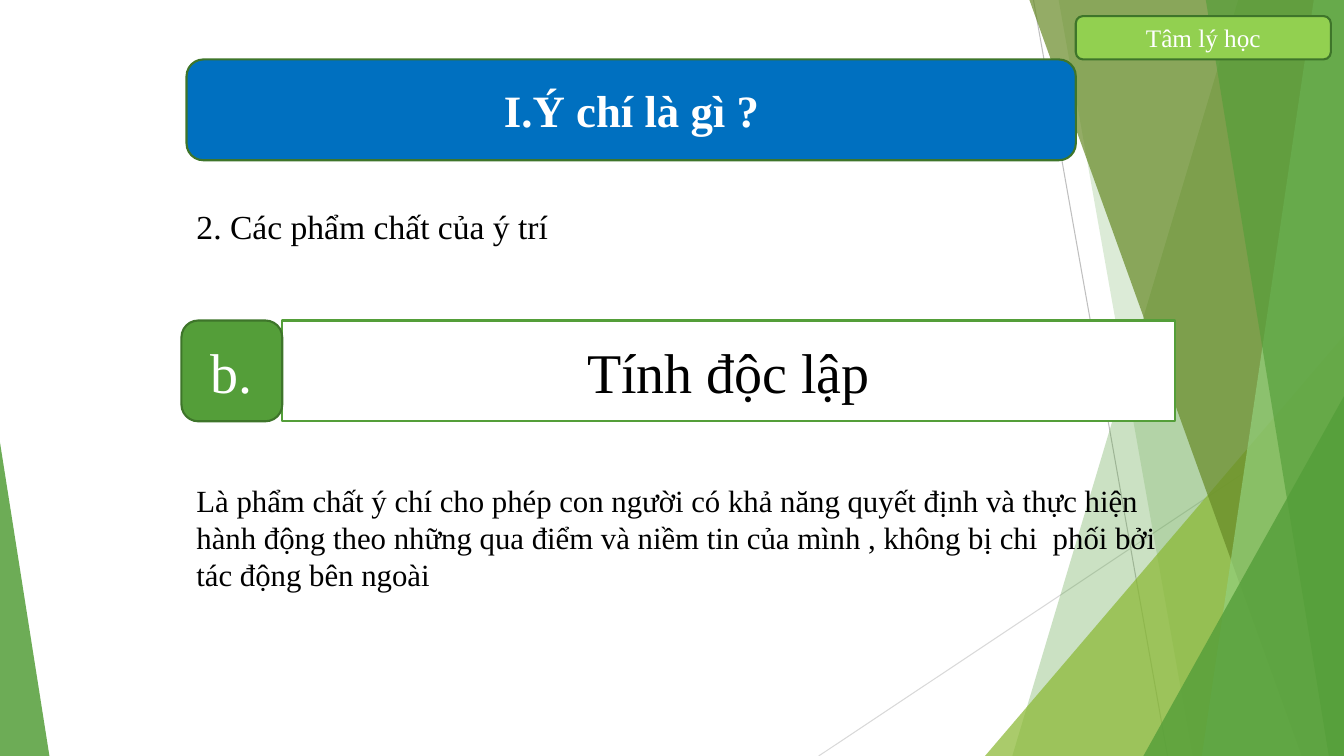
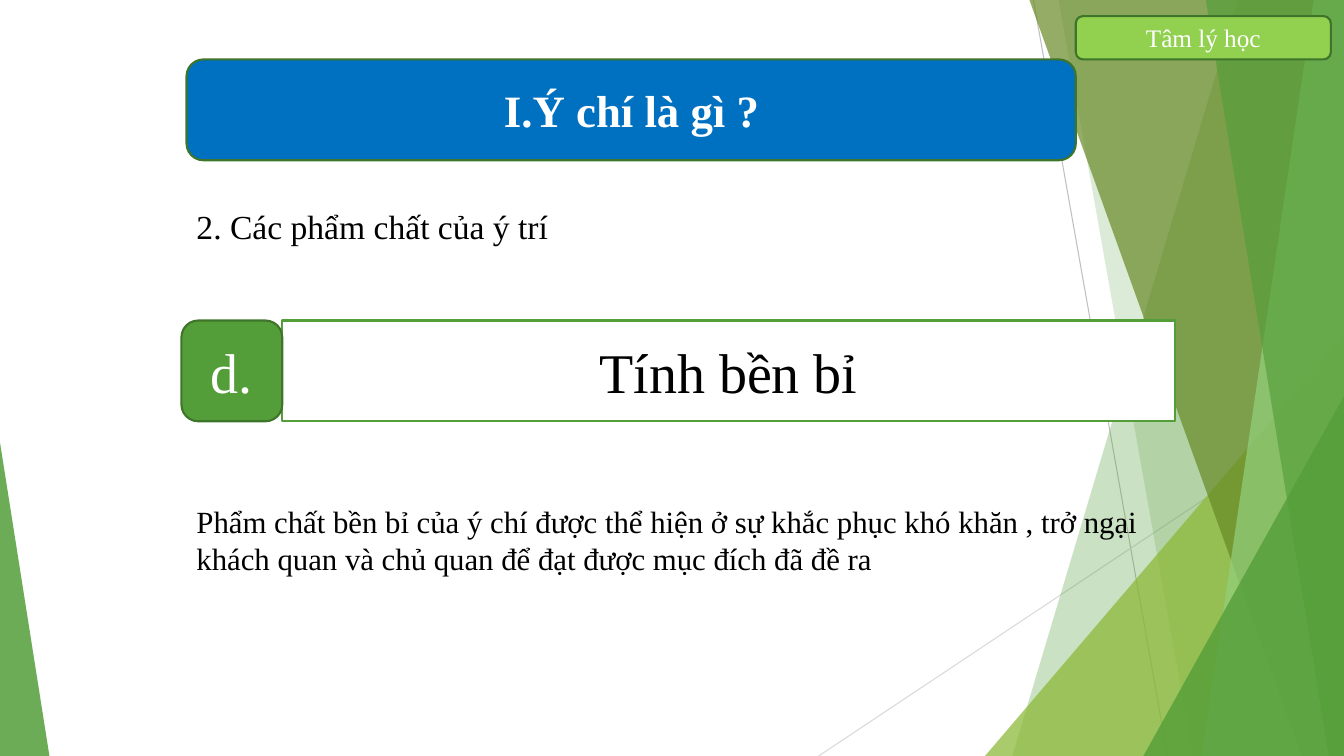
from lxml.etree import SubElement
from pptx import Presentation
from pptx.dml.color import RGBColor
from pptx.enum.shapes import MSO_CONNECTOR, MSO_SHAPE
from pptx.enum.text import MSO_ANCHOR, PP_ALIGN
from pptx.oxml.ns import qn
from pptx.util import Inches, Pt

WHITE = RGBColor(0xFF, 0xFF, 0xFF)
BLACK = RGBColor(0x00, 0x00, 0x00)
BLUE = RGBColor(0x00, 0x70, 0xC0)
GREEN = RGBColor(0x54, 0x9E, 0x39)
DARK_GREEN = RGBColor(0x3E, 0x75, 0x2A)
BRIGHT_GREEN = RGBColor(0x92, 0xD0, 0x50)
PALE_GREEN = RGBColor(0x93, 0xD0, 0x7D)
LIME = RGBColor(0x8A, 0xB8, 0x33)
OLIVE = RGBColor(0x67, 0x8A, 0x26)
GRAY = RGBColor(0xBF, 0xBF, 0xBF)
LIGHT_GRAY = RGBColor(0xD9, 0xD9, 0xD9)
FONT = "Times New Roman"
WIDTH, HEIGHT = 13.33, 7.5

RAYS = [
    (10.25, 0, 11.58, HEIGHT, GRAY),
    (WIDTH, 4.03, 8.12, HEIGHT, LIGHT_GRAY),
]
# band: top x, bottom x; triangle: left, top, width, apex
FACETS = [
    ((12.28, 10.04), GREEN, 30),
    ((10.5, 11.83), GREEN, 20),
    ((9.77, 3.33, 3.56, 1), LIME, 72),
    ((10.21, 12.91), OLIVE, 70),
    ((13.03, 11.92), PALE_GREEN, 70),
    ((11.96, 13.18), GREEN, 65),
    ((11.34, 3.93, 1.99, 1), GREEN, 80),
    ((0, 4.39, 0.49, 0), GREEN, 85),
]
QUALITIES = [
    ("b.", "Tính độc lập", 4.73, 1.21,
     "Là phẩm chất ý chí cho phép con người có khả năng quyết định và thực hiện "
     "hành động theo những qua điểm và niềm tin của mình , không bị chi  phối bởi "
     "tác động bên ngoài"),
    ("d.", "Tính bền bỉ", 4.94, 0.84,
     "Phẩm chất bền bỉ của ý chí được thể hiện ở sự khắc phục khó khăn , trở ngại "
     "khách quan và chủ quan để đạt được mục đích đã đề ra"),
]


def write(box, text, size, color, align=PP_ALIGN.LEFT, bold=False):
    para = box.text_frame.paragraphs[0]
    para.alignment = align
    span = para.add_run()
    span.text = text
    span.font.name = FONT
    span.font.size = Pt(size)
    span.font.bold = bold
    span.font.color.rgb = color


def add_panel(page, kind, place, fill, line):
    panel = page.shapes.add_shape(kind, *map(Inches, place))
    panel.shadow.inherit = False
    panel.fill.solid()
    panel.fill.fore_color.rgb = fill
    panel.line.color.rgb = line
    panel.line.width = Pt(1.5)
    panel.text_frame.word_wrap = True
    panel.text_frame.vertical_anchor = MSO_ANCHOR.MIDDLE
    return panel


deck = Presentation()
deck.slide_width = Inches(WIDTH)
deck.slide_height = Inches(HEIGHT)

for letter, quality, text_top, text_height, description in QUALITIES:
    page = deck.slides.add_slide(deck.slide_layouts[6])

    for *ends, color in RAYS:
        ray = page.shapes.add_connector(MSO_CONNECTOR.STRAIGHT, *map(Inches, ends))
        ray.line.color.rgb = color
        ray.line.width = Pt(0.75)
        SubElement(ray._element.spPr, qn("a:effectLst"))

    for outline, color, opacity in FACETS:
        if len(outline) == 2:
            top_x, bottom_x = outline
            corners = [(WIDTH, 0), (WIDTH, HEIGHT), (bottom_x, HEIGHT)]
            builder = page.shapes.build_freeform(Inches(top_x), 0)
            builder.add_line_segments([(Inches(x), Inches(y)) for x, y in corners])
            facet = builder.convert_to_shape()
        else:
            left, top, width, apex = outline
            facet = page.shapes.add_shape(
                MSO_SHAPE.ISOSCELES_TRIANGLE,
                Inches(left), Inches(top), Inches(width), Inches(HEIGHT - top))
            facet.adjustments[0] = apex
        facet.shadow.inherit = False
        facet.line.fill.background()
        facet.fill.solid()
        facet.fill.fore_color.rgb = color
        tint = facet._element.spPr.find(qn("a:solidFill"))[0]
        SubElement(tint, qn("a:alpha")).set("val", str(opacity * 1000))

    subject = add_panel(page, MSO_SHAPE.ROUNDED_RECTANGLE, (10.67, 0.16, 2.53, 0.43),
                        BRIGHT_GREEN, DARK_GREEN)
    write(subject, "Tâm lý học", 18, WHITE, PP_ALIGN.CENTER)

    title = add_panel(page, MSO_SHAPE.ROUNDED_RECTANGLE, (1.85, 0.59, 8.82, 1),
                      BLUE, DARK_GREEN)
    title.text_frame.margin_left = Inches(3.1)
    write(title, "I.Ý chí là gì ?", 32, WHITE, bold=True)

    heading = page.shapes.add_textbox(Inches(1.85), Inches(1.99), Inches(3.89), Inches(0.5))
    heading.text_frame.word_wrap = False
    write(heading, "2. Các phẩm chất của ý trí", 24, BLACK)

    name_bar = add_panel(page, MSO_SHAPE.RECTANGLE, (2.8, 3.18, 8.85, 1), WHITE, GREEN)
    write(name_bar, quality, 40, BLACK, PP_ALIGN.CENTER)

    badge = add_panel(page, MSO_SHAPE.ROUNDED_RECTANGLE, (1.8, 3.18, 1, 1), GREEN, DARK_GREEN)
    write(badge, letter, 40, WHITE, PP_ALIGN.CENTER)

    body = page.shapes.add_textbox(
        Inches(1.85), Inches(text_top), Inches(9.79), Inches(text_height))
    body.text_frame.word_wrap = True
    write(body, description, 22, BLACK)

deck.save("out.pptx")
